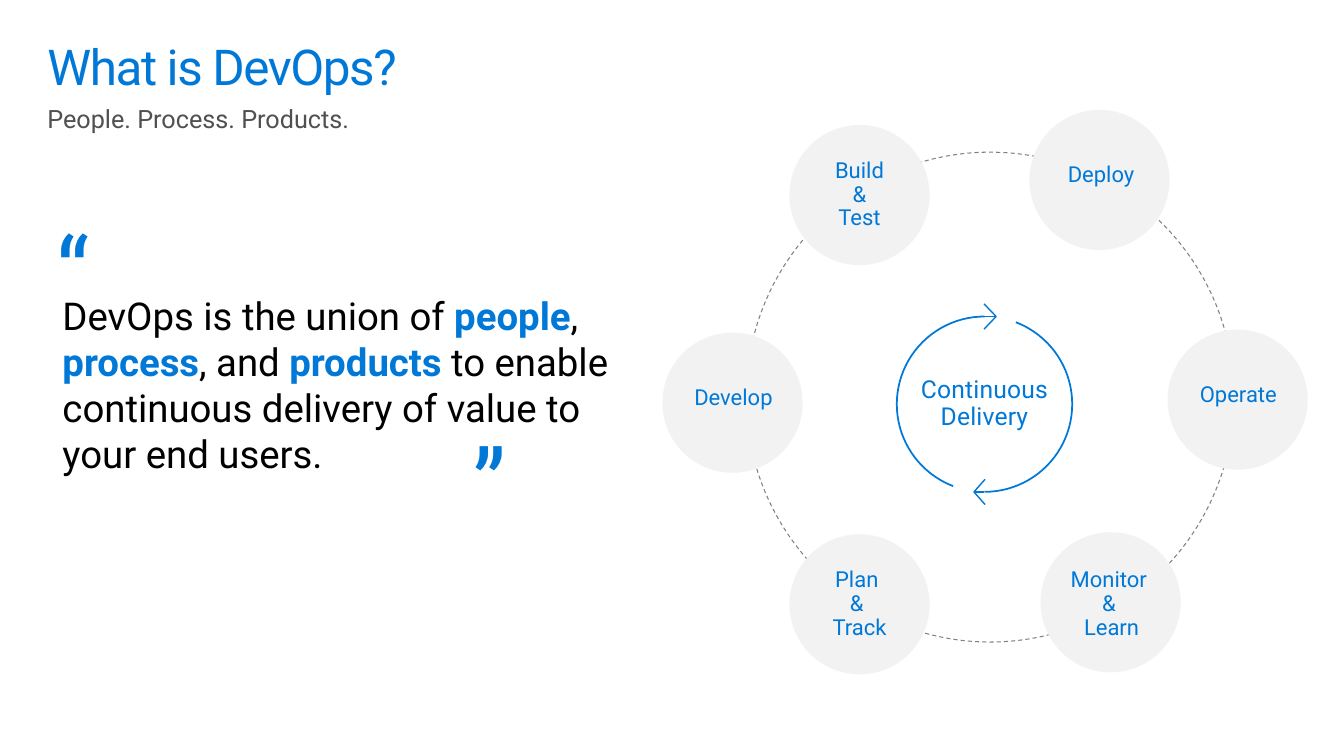
import copy
from dataclasses import dataclass
from typing import Any, Optional

import lxml.etree
import pptx
import pptx.dml.color
import pptx.enum.dml
import pptx.enum.shapes
import pptx.enum.text
import pptx.oxml.ns
import pptx.util
from pptx.util import Inches

BLUE, BLACK, GRAY, PALE, DARK = "0078D7", "000000", "808080", "F2F2F2", "505050"
ALIGN = pptx.enum.text.PP_ALIGN
ANCHOR = pptx.enum.text.MSO_ANCHOR
SHAPE = pptx.enum.shapes.MSO_SHAPE
LABEL_INSETS = (0.2, 0.16, 0.2, 0.16)
STAGE_SIZE = 1.39
CYCLE_X, CYCLE_Y, CYCLE_RADIUS = 9.765, 4.01, 0.87


@dataclass
class Words:
    text: str
    color: str = BLUE
    bold: bool = False


@dataclass
class TextStyle:
    size: float
    font: str = "Roboto"
    insets: tuple[float, float, float, float] = (0, 0, 0, 0)
    align: Any = ALIGN.LEFT
    anchor: Any = ANCHOR.TOP
    line_spacing: float = 1.0
    tracking: int = 0
    wrap: bool = True


@dataclass
class Passage:
    box: tuple[float, float, float, float]
    words: list[Words]
    style: TextStyle


@dataclass
class Stage:
    label: str
    left: float
    top: float
    label_box: Optional[tuple[float, float, float]] = None
    style: Optional[TextStyle] = None


@dataclass
class CycleArrow:
    start: float
    end: float
    tip: float
    tail: float
    y: float


def rgb(value: str) -> pptx.dml.color.RGBColor:
    return pptx.dml.color.RGBColor.from_string(value)


def apply_format(target: Any, values: dict[str, Any]) -> None:
    for attribute, value in values.items():
        setattr(target, attribute, value)


def write_words(frame: Any, words: list[Words], style: TextStyle) -> None:
    left, top, right, bottom = map(Inches, style.insets)
    apply_format(frame, {
        "margin_left": left, "margin_top": top,
        "margin_right": right, "margin_bottom": bottom,
        "word_wrap": style.wrap, "vertical_anchor": style.anchor,
    })
    if not style.wrap:
        frame.auto_size = pptx.enum.text.MSO_AUTO_SIZE.SHAPE_TO_FIT_TEXT
    paragraph = frame.paragraphs[0]
    apply_format(paragraph, {"alignment": style.align, "line_spacing": style.line_spacing})
    for part in words:
        for index, line in enumerate(part.text.split("\n")):
            if index:
                paragraph.add_line_break()
            run = paragraph.add_run()
            run.text = line
            apply_format(run.font, {
                "name": style.font, "size": pptx.util.Pt(style.size), "bold": part.bold,
            })
            run.font.color.rgb = rgb(part.color)
            properties = run.font._element
            if style.tracking:
                properties.set("spc", str(style.tracking))
            if index:
                run._r.getprevious().append(copy.deepcopy(properties))


def add_passage(slide: Any, passage: Passage) -> None:
    textbox = slide.shapes.add_textbox(*map(Inches, passage.box))
    write_words(textbox.text_frame, passage.words, passage.style)


def outline(shape: Any, color: str, width: float) -> None:
    shape.line.color.rgb = rgb(color)
    shape.line.width = pptx.util.Pt(width)


def add_outline_shape(slide: Any, kind: Any, box: tuple[float, float, float, float],
                      color: str, width: float) -> Any:
    shape = slide.shapes.add_shape(kind, *map(Inches, box))
    shape.shadow.inherit = False
    shape.fill.background()
    outline(shape, color, width)
    return shape


def add_stage(slide: Any, stage: Stage) -> None:
    circle = slide.shapes.add_shape(
        SHAPE.OVAL, Inches(stage.left), Inches(stage.top), Inches(STAGE_SIZE), Inches(STAGE_SIZE))
    circle.shadow.inherit = False
    circle.fill.solid()
    circle.fill.fore_color.rgb = rgb(PALE)
    circle.line.fill.background()
    words = [Words(stage.label)]
    if stage.label_box:
        left, top, width = stage.label_box
        height = 1.03 if "\n" in stage.label else 0.55
        add_passage(slide, Passage((left, top, width, height), words, stage.style))
    else:
        write_words(circle.text_frame, words, stage.style)


def add_cycle_arrow(slide: Any, arrow: CycleArrow) -> None:
    side = 2 * CYCLE_RADIUS
    arc = add_outline_shape(
        slide, SHAPE.ARC, (CYCLE_X - CYCLE_RADIUS, CYCLE_Y - CYCLE_RADIUS, side, side), BLUE, 1.25)
    for index, degrees in enumerate((arrow.start, arrow.end)):
        arc.adjustments[index] = degrees * 0.6

    builder = slide.shapes.build_freeform(
        Inches(arrow.tail), Inches(arrow.y + 0.125), scale=1.0)
    builder.add_line_segments(
        [(Inches(arrow.tip), Inches(arrow.y)), (Inches(arrow.tail), Inches(arrow.y - 0.125))],
        close=False)
    head = builder.convert_to_shape()
    head.shadow.inherit = False
    head.fill.background()
    outline(head, BLUE, 1)

    shaft = slide.shapes.add_connector(
        pptx.enum.shapes.MSO_CONNECTOR.STRAIGHT,
        Inches(9.76), Inches(arrow.y), Inches(arrow.tip), Inches(arrow.y))
    outline(shaft, BLUE, 1)
    lxml.etree.SubElement(shaft._element.spPr, pptx.oxml.ns.qn("a:effectLst"))


def main() -> None:
    presentation = pptx.Presentation()
    apply_format(presentation, {"slide_width": Inches(13.33), "slide_height": Inches(7.5)})
    slide = presentation.slides.add_slide(presentation.slide_layouts[6])

    quote_mark = TextStyle(62.7, "Roboto Slab", (0.1, 0.05, 0.1, 0.05), tracking=-10, wrap=False)
    centered = TextStyle(15.7, insets=LABEL_INSETS, align=ALIGN.CENTER, line_spacing=0.9)
    inside = TextStyle(15.7, insets=LABEL_INSETS, align=ALIGN.CENTER,
                       anchor=ANCHOR.MIDDLE, line_spacing=0.9)
    unwrapped = TextStyle(15.7, insets=LABEL_INSETS, line_spacing=0.9, wrap=False)

    definition = [
        Words("DevOps is the union of ", BLACK), Words("people", bold=True),
        Words(", ", BLACK), Words("process", bold=True),
        Words(", and ", BLACK), Words("products", bold=True),
        Words(" to enable continuous delivery of value to your end users.", BLACK),
    ]
    passages = [
        Passage((0.47, 1.03, 12.4, 0.3), [Words("People. Process. Products.", DARK)],
                TextStyle(18)),
        Passage((0.47, 0.24, 12.4, 0.81), [Words("What is DevOps?")],
                TextStyle(35.3, insets=(0, 0.18, 0, 0), line_spacing=0.9, tracking=-100)),
        Passage((0.47, 2.07, 5.8, 4.25), definition,
                TextStyle(27.4, insets=(0.15, 0.83, 0.2, 0.16))),
        Passage((0.47, 2.07, 0.85, 1.18), [Words("“")], quote_mark),
        Passage((4.6, 4.17, 0.83, 1.15), [Words("”")], quote_mark),
    ]
    for passage in passages:
        add_passage(slide, passage)

    ring = add_outline_shape(slide, SHAPE.OVAL, (7.4, 1.51, 4.84, 4.86), GRAY, 0.75)
    ring.line.dash_style = pptx.enum.dml.MSO_LINE.DASH

    add_passage(slide, Passage(
        (8.86, 3.4, 1.81, 1.22), [Words("Continuous\nDelivery")],
        TextStyle(17.6, align=ALIGN.CENTER, anchor=ANCHOR.MIDDLE, line_spacing=0.9, tracking=10)))
    for arrow in (CycleArrow(291, 90, 9.66, 9.77, 4.88), CycleArrow(111, 270, 9.88, 9.76, 3.14)):
        add_cycle_arrow(slide, arrow)

    stages = [
        Stage("Build\n&\nTest", 7.83, 1.24, style=inside),
        Stage("Deploy", 10.21, 1.09, (10.39, 1.5, 1.08), unwrapped),
        Stage("Operate", 11.58, 3.27, (11.7, 3.69, 1.18), unwrapped),
        Stage("Monitor \n& \nLearn", 10.32, 5.28, (10.39, 5.48, 1.27), centered),
        Stage("Plan \n& \nTrack", 7.83, 5.3, (7.89, 5.48, 1.27), centered),
        Stage("Develop", 6.57, 3.3, (6.64, 3.72, 1.27), centered),
    ]
    for stage in stages:
        add_stage(slide, stage)
    presentation.save("out.pptx")


if __name__ == "__main__":
    main()
